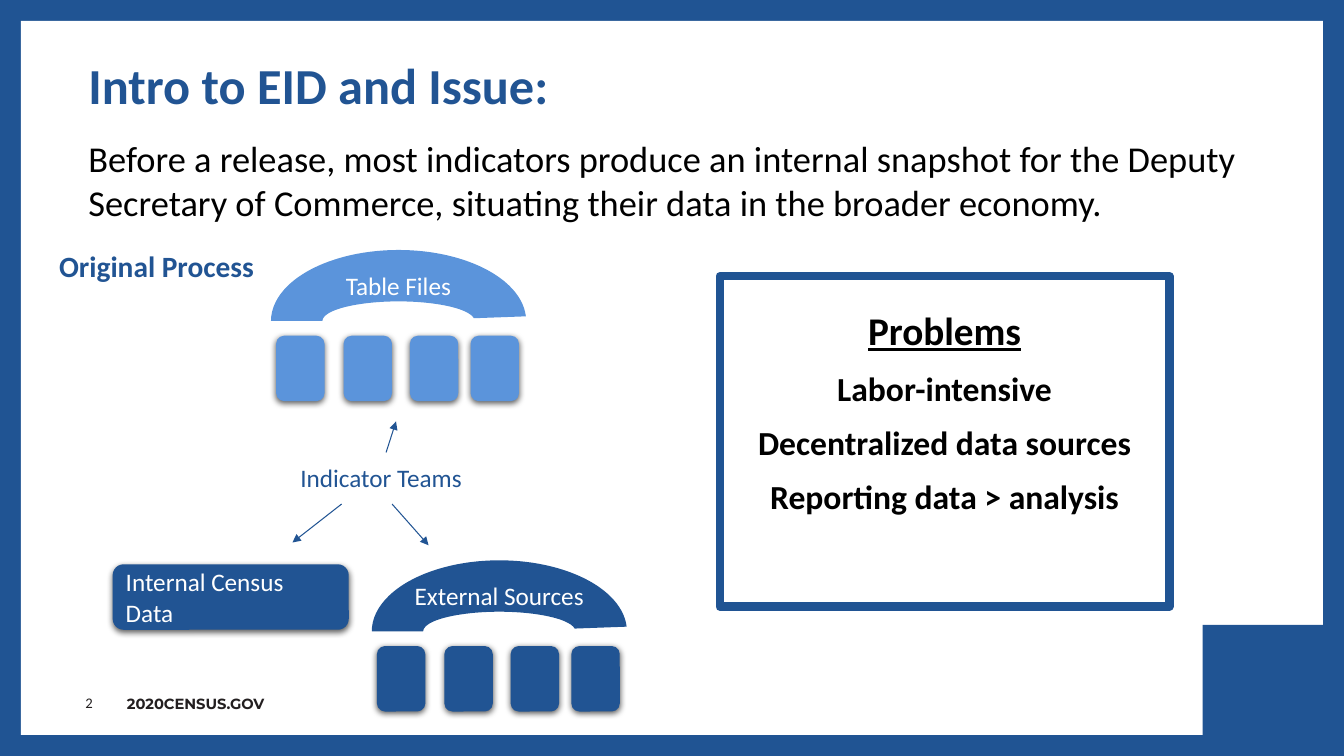
import pptx
import pptx.util
import pptx.dml.color
import pptx.enum.shapes
import pptx.enum.text
import pptx.oxml
import pptx.oxml.ns
import lxml.etree

Cm = pptx.util.Cm
Pt = pptx.util.Pt
SHAPE = pptx.enum.shapes.MSO_SHAPE
ALIGN = pptx.enum.text.PP_ALIGN
ANCHOR = pptx.enum.text.MSO_ANCHOR

FRAME_BLUE, BLUE, LIGHT_BLUE = "205493", "215493", "5B94DB"
WHITE, BLACK, INK = "FFFFFF", "000000", "231F20"


def color(hex_string):
    return pptx.dml.color.RGBColor.from_string(hex_string)


def drawing(tag, parent, **attributes):
    """Add a DrawingML element below parent."""
    return lxml.etree.SubElement(parent, pptx.oxml.ns.qn("a:" + tag), **attributes)


def add_block(slide, kind, box, fill, shadow=False):
    block = slide.shapes.add_shape(kind, *map(Cm, box))
    block.fill.solid()
    block.fill.fore_color.rgb = color(fill)
    block.line.fill.background()
    block.shadow.inherit = False
    if shadow:
        effects = block._element.spPr.find(pptx.oxml.ns.qn("a:effectLst"))
        outer = drawing("outerShdw", effects, blurRad="57150", dist="19050",
                        dir="5400000", algn="ctr", rotWithShape="0")
        drawing("alpha", drawing("srgbClr", outer, val=BLACK), val="63000")
    return block


def write(holder, lines, size, ink, bold=False, font="Calibri", align=ALIGN.LEFT,
          anchor=ANCHOR.TOP, spacing=None, inset=0.13):
    """Fill a shape with one paragraph per line, all in the same style."""
    frame = holder.text_frame
    frame.text = "\n".join(lines)
    frame.word_wrap = True
    frame.vertical_anchor = anchor
    frame.margin_left = frame.margin_right = Cm(0.25)
    frame.margin_top = frame.margin_bottom = Cm(inset)
    for paragraph in frame.paragraphs:
        paragraph.alignment = align
        paragraph.line_spacing = spacing
        for run in paragraph.runs:
            run.font.name = font
            run.font.size = Pt(size)
            run.font.bold = bold
            run.font.color.rgb = color(ink)
    return frame


def add_label(slide, box, text, size, ink, **style):
    return write(slide.shapes.add_textbox(*map(Cm, box)), [text], size, ink, **style)


def add_arrow(slide, start, end):
    arrow = slide.shapes.add_connector(pptx.enum.shapes.MSO_CONNECTOR.STRAIGHT,
                                       *map(Cm, start + end))
    arrow.line.color.rgb = color(BLUE)
    arrow.line.width = Pt(0.75)
    drawing("tailEnd", arrow.line._get_or_add_ln(), type="triangle")
    drawing("effectLst", arrow._element.spPr)


def add_page_frame(slide, width, height):
    slide.background.fill.solid()
    slide.background.fill.fore_color.rgb = color(FRAME_BLUE)
    border = 0.53
    add_block(slide, SHAPE.RECTANGLE,
              (border, border, width - 2 * border, height - 2 * border), WHITE)
    corner_width, corner_height = 3.56, 3.3
    add_block(slide, SHAPE.RECTANGLE,
              (width - corner_width, height - corner_height, corner_width, corner_height),
              FRAME_BLUE)


def add_footer(slide, left, top):
    add_label(slide, (left, top, 1.7, 1.02), "2", 10.5, INK,
              align=ALIGN.RIGHT, anchor=ANCHOR.MIDDLE)
    add_label(slide, (left + 2.06, top + 0.17, 4.3, 0.71), "2020CENSUS.GOV", 10.5, INK,
              bold=True, font="Montserrat")


def add_heading(slide, left, top):
    add_label(slide, (left, top, 20.24, 1.98), "Intro to EID and Issue:", 36, BLUE,
              bold=True, anchor=ANCHOR.BOTTOM, spacing=0.9)
    add_label(slide, (left, top + 2.23, 30.1, 2.57),
              "Before a release, most indicators produce an internal snapshot for the Deputy "
              "Secretary of Commerce, situating their data in the broader economy.", 26, BLACK)


def add_problems(slide, box):
    panel = add_block(slide, SHAPE.RECTANGLE, box, WHITE)
    panel.line.color.rgb = color(FRAME_BLUE)
    panel.line.width = Pt(6)
    frame = write(panel, ["Problems", "Labor-intensive", "Decentralized data sources",
                          "Reporting data > analysis"], 24, BLACK, bold=True,
                  align=ALIGN.CENTER)
    frame.margin_top = Cm(0.76)
    heading, *problems = frame.paragraphs
    heading.runs[0].font.size = Pt(28)
    heading.runs[0].font.underline = True
    for problem in problems:
        problem.space_before = Pt(10)


def add_file_group(slide, left, top, name, fill):
    """An arch with its name above a row of four files."""
    for offset in (0.13, 1.83, 3.5, 5.03):
        add_block(slide, SHAPE.ROUNDED_RECTANGLE, (left + offset, top + 2.16, 1.22, 1.65),
                  fill, shadow=True)
    arch = add_block(slide, SHAPE.BLOCK_ARC, (left, top, 6.43, 3.58), fill)
    for index, value in enumerate((108.008, 214.743, 0.362)):
        arch.adjustments[index] = value
    write(arch, [name], 18, WHITE, align=ALIGN.CENTER, anchor=ANCHOR.MIDDLE, inset=0.25)


def add_process(slide, left, top):
    add_label(slide, (left, top, 5.74, 1.17), "Original Process", 21, BLUE,
              bold=True, anchor=ANCHOR.BOTTOM, spacing=0.9)
    # Files and data sources
    add_file_group(slide, left + 5.59, top + 0.18, "Table Files", LIGHT_BLUE)
    add_file_group(slide, left + 8.13, top + 8, "External Sources", BLUE)
    internal = add_block(slide, SHAPE.ROUNDED_RECTANGLE,
                         (left + 1.6, top + 8.1, 5.95, 1.65), BLUE, shadow=True)
    write(internal, ["Internal Census Data"], 18, WHITE, anchor=ANCHOR.MIDDLE)
    # Teams and the arrows that leave them
    add_label(slide, (left + 6.08, top + 5.28, 4.83, 1.02), "Indicator Teams", 18, BLUE,
              inset=0.25)
    for x1, y1, x2, y2 in ((7.37, 6.58, 6.13, 7.55), (8.64, 6.58, 9.56, 7.62),
                           (8.49, 5.28, 8.74, 4.5)):
        add_arrow(slide, (left + x1, top + y1), (left + x2, top + y2))


deck = pptx.Presentation()
page_width, page_height = 33.87, 19.05
deck.slide_width, deck.slide_height = Cm(page_width), Cm(page_height)
intro = deck.slides.add_slide(deck.slide_layouts[6])

add_page_frame(intro, page_width, page_height)
add_footer(intro, 0.89, 17.2)
add_problems(intro, (18.14, 6.96, 11.33, 8.33))
add_heading(intro, 1.98, 1.07)
add_process(intro, 1.24, 6.12)

deck.save("out.pptx")
